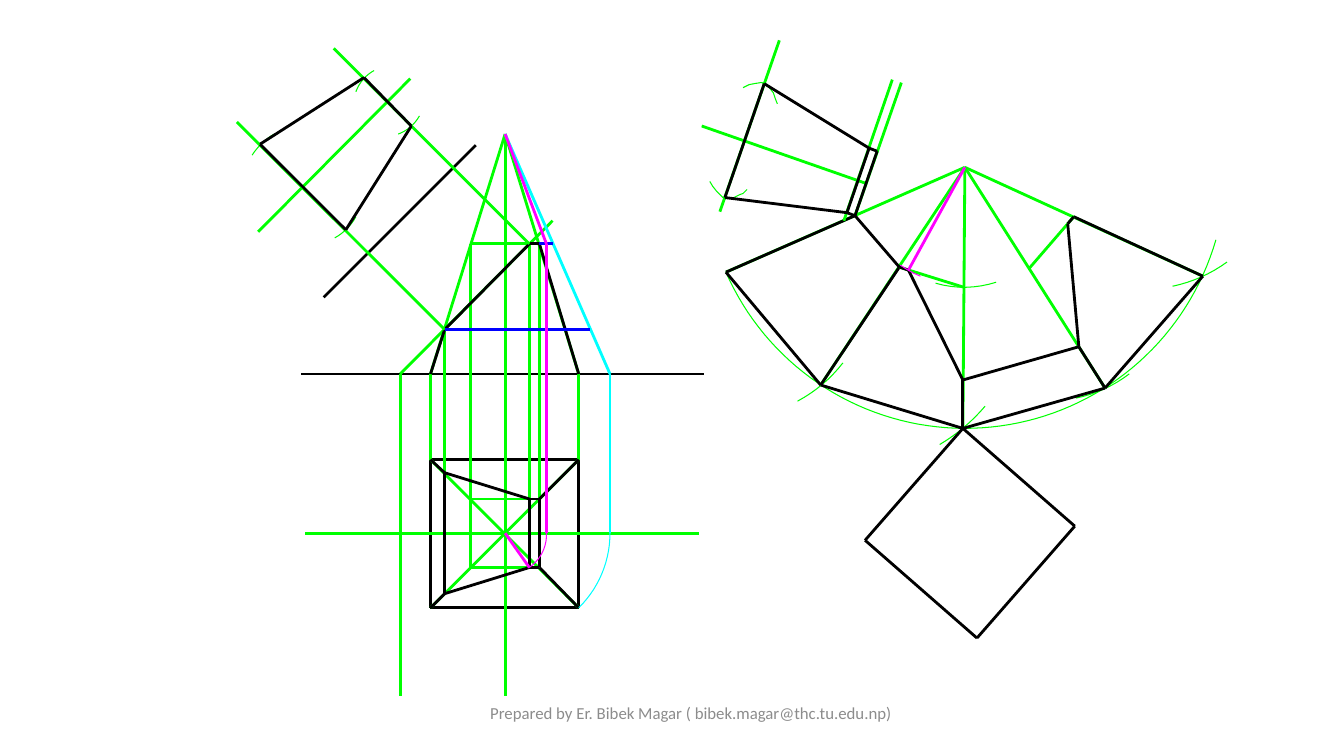
from math import atan2, cos, hypot, remainder, sin, tau

from lxml.etree import SubElement
from pptx import Presentation
from pptx.dml.color import RGBColor
from pptx.enum.shapes import MSO_CONNECTOR
from pptx.enum.text import MSO_ANCHOR, PP_ALIGN
from pptx.oxml.ns import qn
from pptx.util import Inches, Pt

BLACK = RGBColor(0x00, 0x00, 0x00)
GREEN = RGBColor(0x00, 0xFF, 0x00)
CYAN = RGBColor(0x00, 0xFF, 0xFF)
BLUE = RGBColor(0x00, 0x00, 0xFF)
MAGENTA = RGBColor(0xFF, 0x00, 0xFF)
GREY = RGBColor(0x8C, 0x8C, 0x8C)

APEX = (5.01, 1.33)
PLAN_CENTRE = (5.01, 5.29)
BASE = [(4.27, 6.03), (4.27, 4.56), (5.74, 4.56), (5.74, 6.03)]
INNER = [(4.67, 5.63), (4.67, 4.95), (5.35, 4.95), (5.35, 5.63)]
CUT_LOW, CUT_HIGH = (4.41, 3.27), (5.25, 2.42)
FRONT_LEFT, FRONT_RIGHT, CUT_EDGE = (4.27, 3.71), (5.74, 3.71), (5.35, 2.42)
PLAN_CUT = [(5.25, 4.95), (4.41, 4.69), (4.41, 5.89), (5.25, 5.63)]
SECTION = [(2.58, 1.43), (3.61, 0.77), (4.08, 1.25), (3.43, 2.28)]

FAN_APEX = (9.57, 1.66)
FAN = [(7.2, 2.7), (8.14, 3.82), (9.55, 4.25), (10.96, 3.85), (11.93, 2.74)]
FAN_CUT = [(8.48, 2.14), (8.92, 2.65), (9.55, 3.77), (10.7, 3.44), (10.65, 2.15)]
FOLD = (9.01, 2.68)
BOTTOM = [FAN[2], (10.66, 5.22), (9.69, 6.33), (8.58, 5.36)]
STRIP = [FAN_CUT[0], (8.7, 1.5), (8.62, 1.47), (8.4, 2.11)]
TOP_FACE = [STRIP[2], (7.58, 0.83), (7.19, 1.96), STRIP[3]]

UPPER_HOOK = [(7.37, 0.87), (7.43, 0.84), (7.48, 0.83), (7.54, 0.82), (7.56, 0.82),
              (7.59, 0.84), (7.63, 0.87), (7.67, 0.92), (7.69, 0.98), (7.71, 1.03)]
LOWER_HOOK = [(7.04, 1.8), (7.07, 1.85), (7.11, 1.9), (7.15, 1.94), (7.17, 1.96),
              (7.22, 1.97), (7.28, 1.96), (7.34, 1.93), (7.37, 1.92), (7.41, 1.88)]

SECTION_ARCS = [
    ((2.72, 1.33), (2.6, 1.42), (2.5, 1.54)),
    ((3.32, 2.36), (3.44, 2.27), (3.53, 2.15)),
    ((3.71, 0.7), (3.6, 0.79), (3.53, 0.91)),
    ((3.95, 1.33), (4.07, 1.26), (4.16, 1.15)),
]
FAN_ARCS = [
    ((7.91, 3.98), (8.16, 3.81), (8.36, 3.6)),
    ((9.32, 4.41), (9.56, 4.24), (9.77, 4.03)),
    ((11.63, 2.84), (11.91, 2.75), (12.17, 2.6)),
    ((10.67, 3.95), (10.95, 3.86), (11.2, 3.71)),
    ((9.28, 2.81), (9.58, 2.85), (9.88, 2.8)),
]


def closed(corners):
    return corners + corners[:1]


def draw_lines(shapes, colour, *chains):
    for chain in chains:
        for (x1, y1), (x2, y2) in zip(chain, chain[1:]):
            edge = shapes.add_connector(MSO_CONNECTOR.STRAIGHT, Inches(x1), Inches(y1),
                                        Inches(x2), Inches(y2))
            edge.line.color.rgb = colour
            edge.line.width = Pt(0)
            SubElement(edge._element.spPr, qn("a:effectLst"))


def draw_curve(shapes, colour, points):
    start, *rest = [(Inches(x), Inches(y)) for x, y in points]
    builder = shapes.build_freeform(*start)
    builder.add_line_segments(rest, close=False)
    curve = builder.convert_to_shape()
    curve.fill.background()
    curve.line.color.rgb = colour
    curve.line.width = Pt(0)
    curve.shadow.inherit = False


def arc_points(start, middle, end, steps):
    (ax, ay), (bx, by), (cx, cy) = start, middle, end
    a, b, c = ax**2 + ay**2, bx**2 + by**2, cx**2 + cy**2
    area = 2 * (ax * (by - cy) + bx * (cy - ay) + cx * (ay - by))
    x = (a * (by - cy) + b * (cy - ay) + c * (ay - by)) / area
    y = (a * (cx - bx) + b * (ax - cx) + c * (bx - ax)) / area
    radius = hypot(ax - x, ay - y)
    first = atan2(ay - y, ax - x)
    sweep = remainder(atan2(cy - y, cx - x) - first, tau)
    angles = [first + sweep * i / steps for i in range(steps + 1)]
    return [(x + radius * cos(t), y + radius * sin(t)) for t in angles]


def draw_arcs(shapes, colour, *arcs, steps=8):
    for arc in arcs:
        draw_curve(shapes, colour, arc_points(*arc, steps))


def draw_views(shapes):
    draw_lines(shapes, BLACK, closed(BASE), [(2.99, 3.71), (6.98, 3.71)])
    draw_lines(
        shapes, GREEN,
        closed(INNER), [BASE[0], BASE[2]], [BASE[1], BASE[3]],
        [(4.67, 2.42), CUT_EDGE],
        [BASE[1], FRONT_LEFT, APEX, FRONT_RIGHT, BASE[2]],
        [INNER[1], (4.67, 2.42)], [INNER[2], CUT_EDGE],
        [(5.01, 6.9), APEX], [(3.97, 6.9), (3.97, 3.71), (5.48, 2.19)],
        [(3.03, 5.29), (6.93, 5.29)], [(2.56, 2.3), (4.07, 0.78)],
        [CUT_HIGH, PLAN_CUT[3]], [CUT_LOW, PLAN_CUT[2]],
    )
    draw_lines(
        shapes, BLACK,
        [(3.21, 2.95), (4.72, 1.44)],
        [FRONT_RIGHT, CUT_EDGE, CUT_HIGH, CUT_LOW, FRONT_LEFT],
        closed(PLAN_CUT), [PLAN_CUT[0], INNER[2], INNER[3], PLAN_CUT[3]],
        [INNER[2], BASE[2]], [BASE[3], INNER[3]],
        [BASE[0], PLAN_CUT[2]], [BASE[1], PLAN_CUT[1]],
    )
    draw_arcs(shapes, CYAN, (BASE[3], (5.97, 5.69), (6.05, 5.29)), steps=14)
    draw_lines(shapes, CYAN, [(6.05, 5.29), (6.05, 3.71), APEX])


def draw_true_section(shapes):
    draw_lines(shapes, GREEN, [CUT_LOW, (2.35, 1.21)], [CUT_HIGH, (3.31, 0.48)])
    draw_arcs(shapes, GREEN, *SECTION_ARCS)
    draw_lines(shapes, BLACK, closed(SECTION))


def draw_development(shapes):
    draw_lines(shapes, GREEN, *([corner, FAN_APEX] for corner in FAN))
    draw_arcs(shapes, GREEN, (FAN[0], (9.61, 4.25), (12.06, 2.38)), steps=70)
    draw_arcs(shapes, GREEN, *FAN_ARCS)
    draw_lines(shapes, BLUE, [CUT_EDGE, (5.48, 2.42)], [CUT_LOW, (5.85, 3.27)])
    draw_lines(shapes, BLACK, FAN, *zip(FAN, FAN_CUT), closed(BOTTOM))
    draw_lines(
        shapes, GREEN,
        [FAN_CUT[0], (8.94, 0.82)], [(8.37, 2.19), (8.85, 0.79)],
        [(7.14, 2.1), (7.73, 0.4)], [(8.59, 1.82), (6.96, 1.25)],
        [FAN_CUT[1], (9.56, 2.85)], [FAN_CUT[4], (10.21, 2.66)],
    )
    draw_curve(shapes, GREEN, UPPER_HOOK)
    draw_curve(shapes, GREEN, LOWER_HOOK)
    draw_lines(
        shapes, BLACK, closed(STRIP), TOP_FACE,
        [*FAN_CUT[:2], FOLD, *FAN_CUT[2:4], (10.59, 2.22), FAN_CUT[4]],
    )


def draw_true_length(shapes):
    draw_lines(shapes, MAGENTA, [PLAN_CUT[3], PLAN_CENTRE],
               [(5.42, 5.29), (5.42, 2.42), APEX], [FAN_APEX, FOLD])
    draw_arcs(shapes, MAGENTA, (PLAN_CUT[3], (5.38, 5.48), (5.42, 5.29)), steps=10)
    draw_curve(shapes, MAGENTA, [(8.93, 2.63), (8.99, 2.67), (9.06, 2.71), (9.13, 2.74)])


def add_footer(shapes, text):
    frame = shapes.add_textbox(Inches(4.42), Inches(6.79), Inches(4.87), Inches(0.56)).text_frame
    frame.word_wrap = True
    frame.vertical_anchor = MSO_ANCHOR.MIDDLE
    footer = frame.paragraphs[0]
    footer.text = text
    footer.alignment = PP_ALIGN.CENTER
    footer.font.name = "Calibri"
    footer.font.size = Pt(12)
    footer.font.color.rgb = GREY


def main():
    deck = Presentation()
    deck.slide_width, deck.slide_height = Inches(13.33), Inches(7.5)
    shapes = deck.slides.add_slide(deck.slide_layouts[6]).shapes
    draw_views(shapes)
    draw_true_section(shapes)
    draw_development(shapes)
    draw_true_length(shapes)
    add_footer(shapes, "Prepared by Er. Bibek Magar ( bibek.magar@thc.tu.edu.np)")
    deck.save("out.pptx")


if __name__ == "__main__":
    main()
